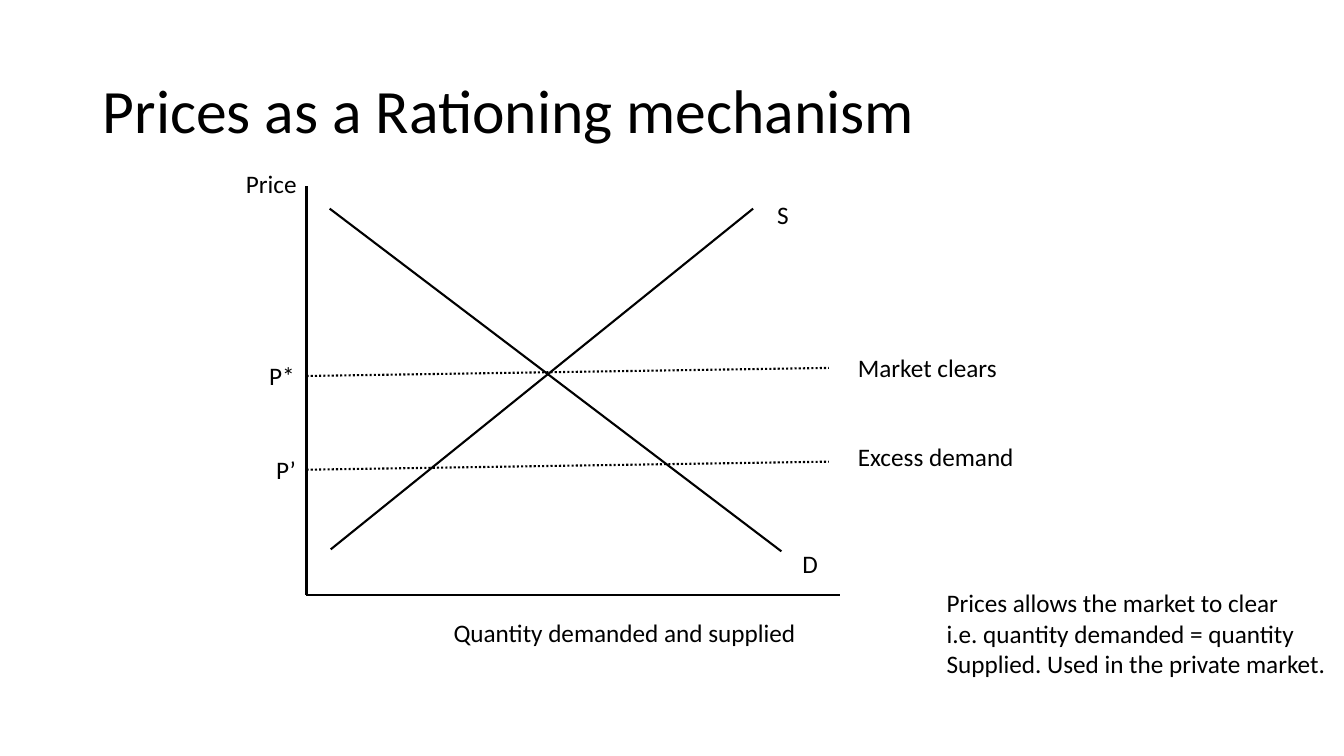
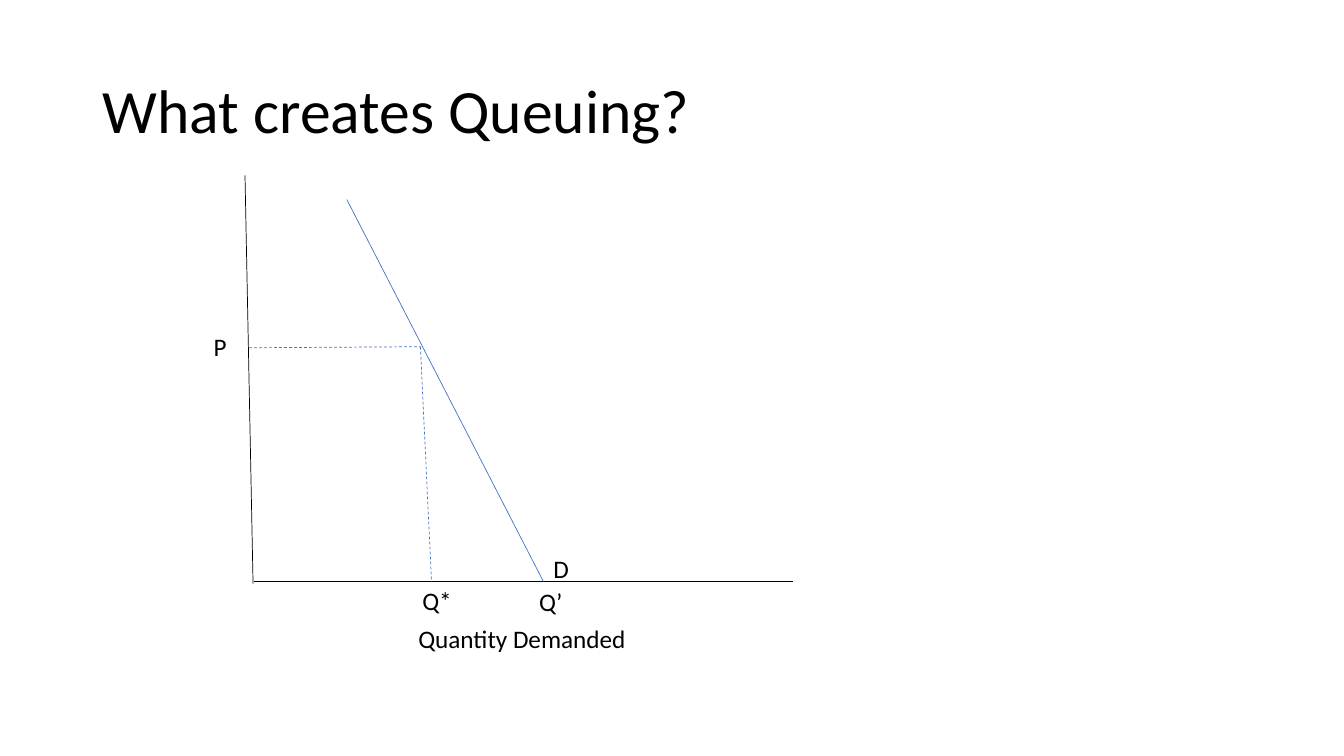
"""Build two supply-and-demand slides on prices and queuing."""
import pptx
import pptx.util
import pptx.dml.color
import pptx.enum.dml
import pptx.enum.shapes
import pptx.enum.text
import pptx.oxml.ns
import lxml.etree

PX = 9144
SLIDE_SIZE = (1333, 750)
TITLE_BOX = (92, 40, 1150, 145)
RIGHT_SIDE = 3
BLACK, BLUE = "000000", "4472C4"
DASHES = pptx.enum.dml.MSO_LINE
TEXT = pptx.enum.text

TITLE_FONT = {"name": "Calibri", "size": pptx.util.Pt(44)}
LABEL_FONT = {"name": "Calibri", "size": pptx.util.Pt(18)}
TITLE_FRAME = {"vertical_anchor": TEXT.MSO_ANCHOR.MIDDLE, "word_wrap": True}
LABEL_FRAME = {"word_wrap": False, "auto_size": TEXT.MSO_AUTO_SIZE.SHAPE_TO_FIT_TEXT}
TITLE_PARAGRAPH = {"alignment": TEXT.PP_ALIGN.LEFT, "line_spacing": 0.9}

THICK = {"width": pptx.util.Pt(1.5)}
THIN = {"width": pptx.util.Pt(0.5)}
DOTTED = {**THICK, "dash_style": DASHES.ROUND_DOT}
DASHED = {**THIN, "dash_style": DASHES.DASH}

SLIDES = [
    {
        "title": "Prices as a Rationing mechanism",
        "labels": [
            ("Price", (234, 162, 71, 40)),
            ("Quantity demanded and supplied", (440, 608, 364, 40)),
            ("S", (761, 193, 32, 40)),
            ("D", (786, 539, 36, 40)),
            ("P’", (264, 446, 40, 40)),
            ("P*", (257, 353, 47, 40)),
            ("Excess demand", (841, 433, 182, 40)),
            ("Market clears", (841, 345, 159, 40)),
            ("Prices allows the market to clear\n"
             "i.e. quantity demanded = quantity\n"
             "Supplied. Used in the private market.", (929, 578, 400, 101)),
        ],
        "lines": [
            ((304, 185), (304, 590), BLACK, THICK),
            ((304, 590), (833, 590), BLACK, THICK),
            ((327, 207), (775, 547), BLACK, THICK),
            ((328, 545), (747, 207), BLACK, THICK),
            ("P’", (822, 458), BLACK, DOTTED),
            ("P*", (822, 365), BLACK, DOTTED),
        ],
    },
    {
        "title": "What creates Queuing?",
        "labels": [
            ("P", (202, 324, 33, 40)),
            ("D", (539, 544, 36, 40)),
            ("Quantity Demanded", (405, 613, 229, 40)),
            ("Q*", (409, 576, 50, 40)),
            ("Q’", (525, 577, 44, 40)),
        ],
        "lines": [
            ((243, 174), (251, 579), BLACK, THIN),
            ((252, 577), (787, 577), BLACK, THIN),
            ((344, 198), (539, 577), BLUE, THIN),
            ((247, 345), (417, 344), BLUE, DASHED),
            ((417, 344), (428, 577), BLUE, DASHED),
        ],
    },
]


def emu(lengths):
    return [length * PX for length in lengths]


def color(value):
    return pptx.dml.color.RGBColor.from_string(value)


def apply(target, values):
    for name, value in values.items():
        setattr(target, name, value)


def fill_text(frame, text, frame_format, font_format, paragraph_format):
    frame.text = text
    apply(frame, frame_format)
    for paragraph in frame.paragraphs:
        apply(paragraph, paragraph_format)
        apply(paragraph.font, font_format)
        paragraph.font.color.rgb = color(BLACK)


def add_title(slide, text):
    title = slide.shapes.title
    apply(title, dict(zip(("left", "top", "width", "height"), emu(TITLE_BOX))))
    fill_text(title.text_frame, text, TITLE_FRAME, TITLE_FONT, TITLE_PARAGRAPH)


def add_label(slide, text, box):
    label = slide.shapes.add_textbox(*emu(box))
    fill_text(label.text_frame, text, LABEL_FRAME, LABEL_FONT, {})
    return label


def add_line(slide, labels, start, end, line_color, line_format):
    joined = labels.get(start)
    origin = (0, 0) if joined else start
    line = slide.shapes.add_connector(
        pptx.enum.shapes.MSO_CONNECTOR.STRAIGHT, *emu(origin + end))
    if joined:
        line.begin_connect(joined, RIGHT_SIDE)
    line.line.color.rgb = color(line_color)
    apply(line.line, line_format)
    lxml.etree.SubElement(line._element.spPr, pptx.oxml.ns.qn("a:effectLst"))


def main():
    deck = pptx.Presentation()
    deck.slide_width, deck.slide_height = emu(SLIDE_SIZE)
    for content in SLIDES:
        slide = deck.slides.add_slide(deck.slide_layouts[5])
        add_title(slide, content["title"])
        labels = {text: add_label(slide, text, box) for text, box in content["labels"]}
        for line in content["lines"]:
            add_line(slide, labels, *line)
    deck.save("out.pptx")


if __name__ == "__main__":
    main()
